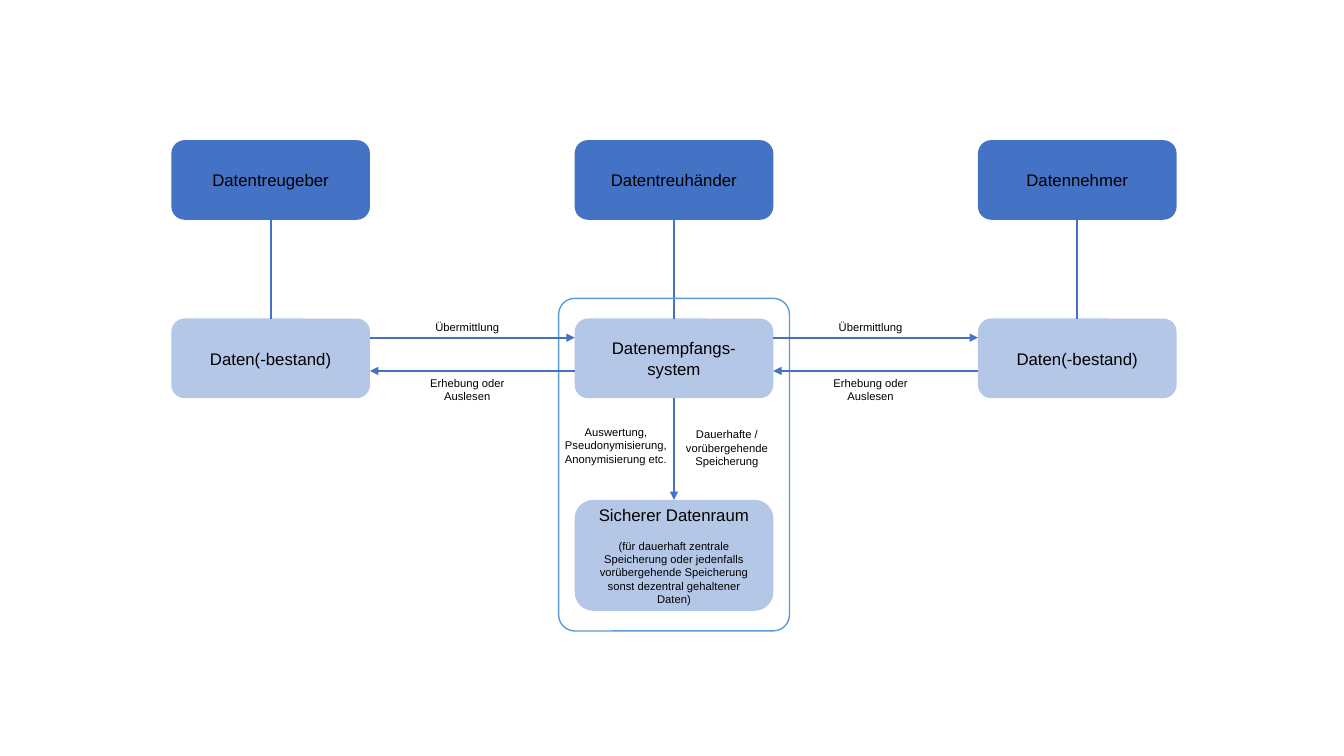
from dataclasses import dataclass
from typing import Optional

from lxml import etree
from pptx import Presentation, util as u
from pptx.dml.color import RGBColor
from pptx.enum import shapes, text
from pptx.oxml.ns import qn

BLUE = RGBColor(0x44, 0x72, 0xC4)
PALE = RGBColor(0xB4, 0xC7, 0xE7)
FRAME = RGBColor(0x5B, 0x9B, 0xD5)
BLACK = RGBColor(0, 0, 0)

# Grid in inches: three columns, three rows of boxes
BOX_W, BOX_H, ROOM_H = 1.97, 0.79, 1.1
LEFT, PITCH = 1.7, 4.0
ROLE_ROW, DATA_ROW, ROOM_ROW = 1.39, 3.16, 4.96
SEND_Y, READ_Y = 3.35, 3.68
MARGIN_X, MARGIN_Y = 0.16, 0.2

TITLE_SIZE, NOTE_SIZE = 12, 8
FRAME_FORMAT = {"word_wrap": True, "vertical_anchor": text.MSO_ANCHOR.MIDDLE}
PARAGRAPH_FORMAT = {"alignment": text.PP_ALIGN.CENTER, "space_after": u.Pt(10)}
NO_INSETS = dict.fromkeys(
    ("margin_left", "margin_right", "margin_top", "margin_bottom"), 0)


@dataclass
class Box:
    x: float
    y: float
    width: float
    height: float
    lines: tuple = ()  # (wording, size) for each paragraph
    fill: Optional[RGBColor] = None
    outline: Optional[RGBColor] = None
    corner: Optional[float] = None
    insets: Optional[dict] = None


def column(index: int) -> float:
    return LEFT + index * PITCH


def apply(target, values: dict) -> None:
    for name, value in values.items():
        setattr(target, name, value)


def draw_box(slide, box: Box):
    shape = slide.shapes.add_shape(
        shapes.MSO_SHAPE.ROUNDED_RECTANGLE,
        *(u.Inches(n) for n in (box.x, box.y, box.width, box.height)))
    shape.shadow.inherit = False
    if box.corner is not None:
        shape.adjustments[0] = box.corner
    if box.fill is None:
        shape.fill.background()
    else:
        shape.fill.solid()
        shape.fill.fore_color.rgb = box.fill
    if box.outline is None:
        shape.line.fill.background()
    else:
        shape.line.color.rgb = box.outline
        shape.line.width = u.Pt(1)
    content = shape.text_frame
    apply(content, {**FRAME_FORMAT, **(box.insets or {})})
    for index, (wording, size) in enumerate(box.lines):
        paragraph = content.add_paragraph() if index else content.paragraphs[0]
        apply(paragraph, PARAGRAPH_FORMAT)
        run = paragraph.add_run()
        run.text = wording
        apply(run.font, {"name": "Arial", "size": u.Pt(size)})
        run.font.color.rgb = BLACK
    return shape


def draw_line(slide, start: tuple, end: tuple, arrow: bool = False):
    line = slide.shapes.add_connector(
        shapes.MSO_CONNECTOR.STRAIGHT, *(u.Inches(n) for n in start + end))
    line.line.color.rgb = BLUE
    line.line.width = u.Pt(1.5)
    etree.SubElement(line._element.spPr, qn("a:effectLst"))
    if arrow:
        etree.SubElement(line.line._get_or_add_ln(), qn("a:tailEnd"),
                         type="triangle")
    return line


def link_down(slide, upper, lower, arrow: bool = False) -> None:
    """Join the bottom of one box to the top of the next."""
    line = draw_line(slide, (0, 0), (1, 1), arrow)
    line.begin_connect(upper, 2)
    line.end_connect(lower, 0)


def label(x: float, y: float, width: float, height: float, wording: str,
          insets: Optional[dict] = None) -> Box:
    return Box(x, y, width, height, ((wording, NOTE_SIZE),), insets=insets)


prs = Presentation()
prs.slide_width, prs.slide_height = u.Inches(13.33), u.Inches(7.5)
slide = prs.slides.add_slide(prs.slide_layouts[6])

# Roles and the data each one holds
holdings = []
for index, (role, holding) in enumerate((
        ("Datentreugeber", "Daten(-bestand)"),
        ("Datentreuhänder", "Datenempfangs-system"),
        ("Datennehmer", "Daten(-bestand)"))):
    role_box, holding_box = (
        draw_box(slide, Box(column(index), row, BOX_W, BOX_H,
                            ((wording, TITLE_SIZE),), fill))
        for row, wording, fill in ((ROLE_ROW, role, BLUE),
                                   (DATA_ROW, holding, PALE)))
    link_down(slide, role_box, holding_box)
    holdings.append(holding_box)

# Secure data room below the receiving system
data_room = draw_box(slide, Box(
    column(1), ROOM_ROW, BOX_W, ROOM_H,
    (("Sicherer Datenraum", TITLE_SIZE),
     ("(für dauerhaft zentrale Speicherung oder jedenfalls vorübergehende "
      "Speicherung sonst dezentral gehaltener Daten)", NOTE_SIZE)), PALE))
link_down(slide, holdings[1], data_room, arrow=True)
draw_box(slide, label(5.56, 4.12, 1.1, 0.6,
                      "Auswertung, Pseudonymisierung, Anonymisierung etc.",
                      NO_INSETS))
draw_box(slide, label(6.64, 4.14, 1.14, 0.6,
                      "Dauerhafte / vorübergehende Speicherung"))

# Frame around the trustee's systems
draw_box(slide, Box(
    column(1) - MARGIN_X, DATA_ROW - MARGIN_Y, BOX_W + 2 * MARGIN_X,
    ROOM_ROW + ROOM_H - DATA_ROW + 2 * MARGIN_Y, outline=FRAME, corner=0.07))

# Exchange between neighbouring columns
for index in range(2):
    near, far = column(index) + BOX_W, column(index + 1)
    middle = (near + far) / 2 - 0.05
    draw_line(slide, (near, SEND_Y), (far, SEND_Y), arrow=True)
    draw_line(slide, (far, READ_Y), (near, READ_Y), arrow=True)
    for wording, y, width in (("Übermittlung", 3.12, 0.96),
                              ("Erhebung oder Auslesen", 3.74, 1.08)):
        draw_box(slide, label(middle - width / 2, y, width, 0.25, wording))

prs.save("out.pptx")
